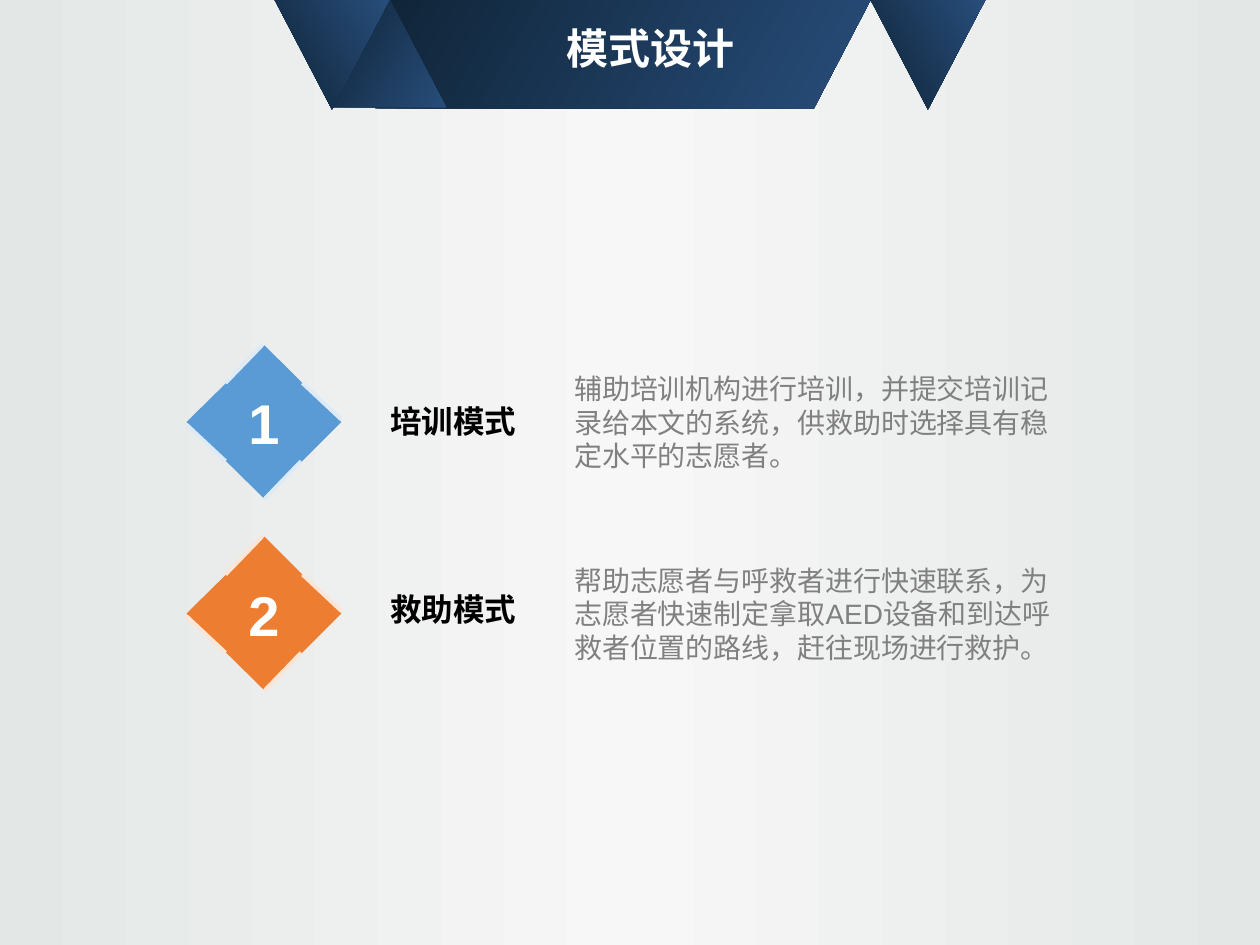
from copy import deepcopy
from lxml import etree
from pptx import Presentation
from pptx.dml.color import RGBColor
from pptx.enum import shapes, text
from pptx.oxml import ns
from pptx.util import Inches, Pt

HUES = {
    "edge": "E3E7E5", "mid": "F7F7F7", "dark": "0F2437", "navy": "284D7A",
    "blue": "5B9BD5", "sky": "DEEBF7", "orange": "ED7D31", "peach": "FBE5D6",
    "white": "FFFFFF", "black": "000000", "gray": "808080",
}


def paint(fill, hues, angle):
    fill.gradient()
    fill.gradient_angle = angle
    stops = fill.gradient_stops
    for stop, hue, place in zip(stops, hues, (0, 1)):
        stop.color.rgb = RGBColor.from_string(HUES[hue])
        stop.position = place


def write(shape, words, size, hue, bold=False, align=None, space=None):
    frame = shape.text_frame
    frame.word_wrap = True
    para = frame.paragraphs[0]
    para.alignment = align
    para.line_spacing = space
    run = para.add_run()
    run.text = words
    run.font.name = "Arial"
    run.font.size = Pt(size)
    run.font.bold = bold
    run.font.color.rgb = RGBColor.from_string(HUES[hue])
    return frame


deck = Presentation()
deck.slide_width = Inches(10)
deck.slide_height = Inches(7.5)
slide = deck.slides.add_slide(deck.slide_layouts[6])
items = slide.shapes
center = text.PP_ALIGN.CENTER

paint(slide.background.fill, ("edge", "edge"), 180)
first = slide.element.find(".//" + ns.qn("a:gs"))
middle = deepcopy(first)
middle.set("pos", "50000")
middle[0].set("val", HUES["mid"])
first.addnext(middle)

pen = items.build_freeform(Inches(2.98), 0)
pen.add_line_segments([(Inches(x), Inches(y)) for x, y in
                       ((6.91, 0), (6.46, 0.86), (2.98, 0.86))])
ribbon = [pen.convert_to_shape()]
for left, top, flip in ((2.63, -0.02, False), (2.18, 0, True), (6.91, 0, True)):
    fold = items.add_shape(shapes.MSO_SHAPE.ISOSCELES_TRIANGLE, Inches(left),
                           Inches(top), Inches(0.91), Inches(0.87))
    if flip:
        fold.element.spPr.find(ns.qn("a:xfrm")).set("flipV", "1")
    ribbon.append(fold)
for part in ribbon:
    part.shadow.inherit = False
    part.line.fill.background()
    paint(part.fill, ("dark", "navy"), 330)

title = items.add_textbox(Inches(1.93), Inches(0.13), Inches(6.46), Inches(0.51))
write(title, "模式设计", 24, "white", True, center)

modes = (
    ("1", "培训模式", 2.74, 3.08, "blue", "sky",
     "辅助培训机构进行培训，并提交培训记录给本文的系统，供救助时选择具有稳定水平的志愿者。"),
    ("2", "救助模式", 4.26, 4.57, "orange", "peach",
     "帮助志愿者与呼救者进行快速联系，为志愿者快速制定拿取AED设备和到达呼救者位置的路线，赶往现场进行救护。"),
)
edges = (
    (1.79, 0.3, 2.08, 0), (2.1, 1.22, 2.39, 0.92),
    (2.71, 0.59, 2.4, 0.3), (1.79, 0.92, 1.48, 0.63),
)
for number, name, top, level, hue, tint, words in modes:
    pen = items.build_freeform(Inches(2.1), Inches(top))
    pen.add_line_segments([(Inches(x), Inches(top + y)) for x, y in
                           ((2.71, 0.61), (2.1, 1.22), (1.48, 0.61))])
    gem = pen.convert_to_shape()
    gem.shadow.inherit = False
    gem.fill.solid()
    gem.fill.fore_color.rgb = RGBColor.from_string(HUES[hue])
    gem.line.fill.background()
    frame = write(gem, number, 32, "white", True, center)
    frame.vertical_anchor = text.MSO_ANCHOR.MIDDLE

    for x1, y1, x2, y2 in edges:
        edge = items.add_connector(
            shapes.MSO_CONNECTOR.STRAIGHT, Inches(x1), Inches(top + y1),
            Inches(x2), Inches(top + y2))
        edge.line.color.rgb = RGBColor.from_string(HUES[tint])
        edge.line.width = Pt(2.25)
        etree.SubElement(edge.element.spPr, ns.qn("a:effectLst"))

    label = items.add_textbox(Inches(3), Inches(level), Inches(1.32), Inches(1.19))
    write(label, name, 18, "black", True, space=1.2)
    body = items.add_textbox(Inches(4.46), Inches(top + 0.16), Inches(4.06), Inches(0.9))
    frame = write(body, words, 16, "gray")
    frame.auto_size = text.MSO_AUTO_SIZE.SHAPE_TO_FIT_TEXT

deck.save("out.pptx")
